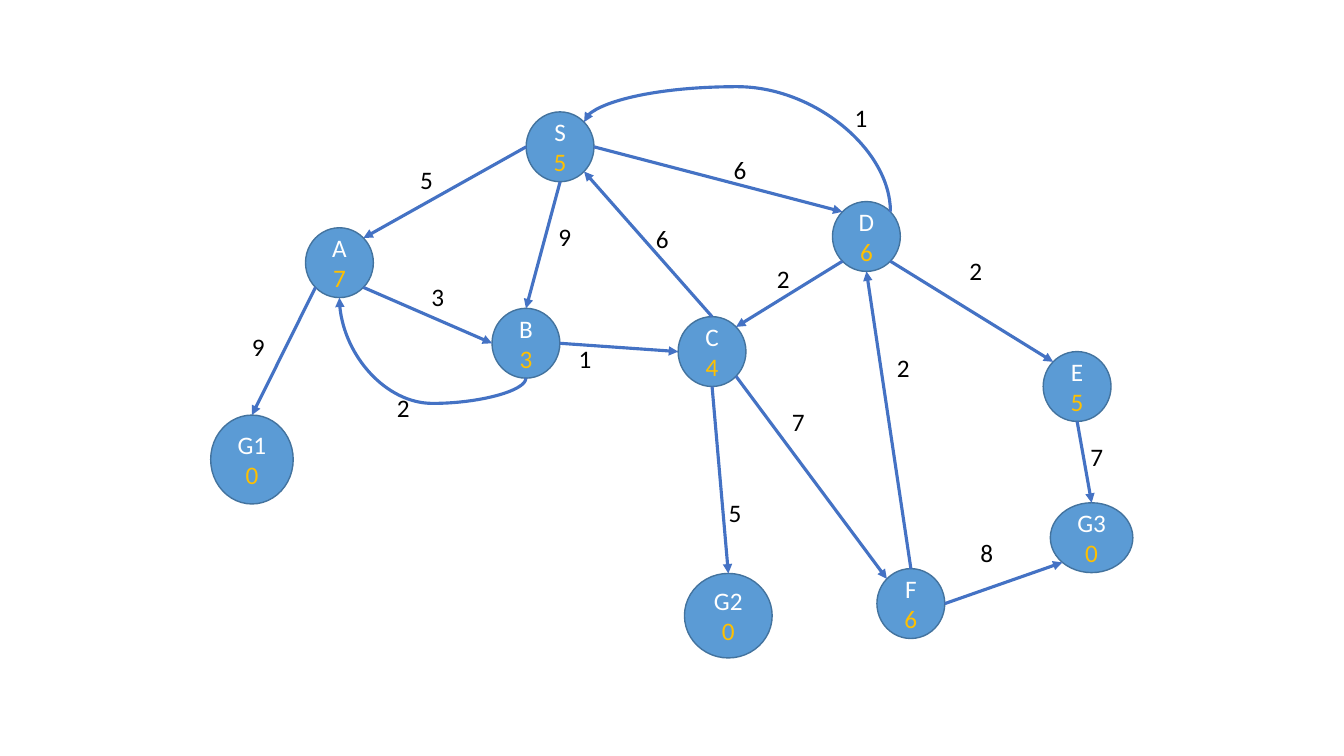
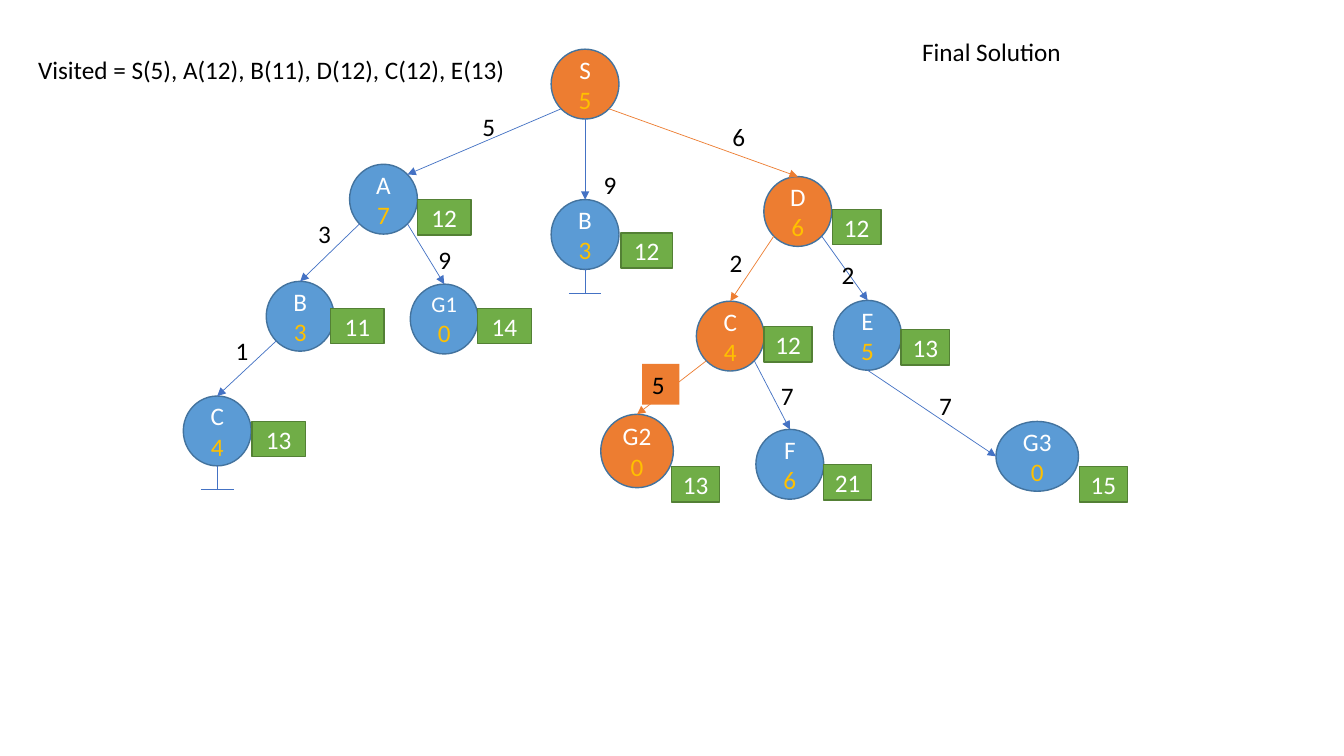
import math

import pptx
import pptx.util
import pptx.dml.color
import pptx.oxml
import pptx.oxml.ns
import pptx.enum.shapes
import pptx.enum.text
from pptx.util import Cm

BLUE, ORANGE, GREEN = "5B9BD5", "ED7D31", "70AD47"
NODE_LINE, BADGE_LINE, EDGE = "43739E", "538035", "4472C4"
WHITE, BLACK, GOLD = "FFFFFF", "000000", "FFC000"

# Connection sites of an ellipse, counter-clockwise from the top
TOP, TOP_LEFT, LEFT, LOW_LEFT, BOTTOM, LOW_RIGHT, RIGHT, TOP_RIGHT = range(8)


def rgb(value):
    return pptx.dml.color.RGBColor.from_string(value)


def sub(parent, tag, **attrs):
    """Append a drawing element with the given attributes."""
    child = pptx.oxml.parse_xml(f"<{tag} {pptx.oxml.ns.nsdecls('a')}/>")
    for name, value in attrs.items():
        child.set(name, str(value))
    parent.append(child)
    return child


class Graph:
    """Style of the graphs and the slide being drawn; lengths in cm."""

    FONT, SIZE = "Calibri", 18
    NODE_W, NODE_H = 1.71, 1.76
    BADGE_H, LABEL_H = 0.89, 1.03

    def __init__(self, prs):
        self.prs = prs

    def new_slide(self, edge_width):
        self.s = self.prs.slides.add_slide(self.prs.slide_layouts[6])
        self.edge_width = edge_width
        self.nodes = {}

    def style(self, r, color, size=SIZE):
        r.font.name = self.FONT
        r.font.size = pptx.util.Pt(size)
        r.font.color.rgb = rgb(color)

    def shape(self, kind, x, y, w, h, fill, line):
        sp = self.s.shapes.add_shape(kind, Cm(x), Cm(y), Cm(w), Cm(h))
        sp.shadow.inherit = False
        sp.fill.solid()
        sp.fill.fore_color.rgb = rgb(fill)
        sp.line.color.rgb = rgb(line)
        sp.line.width = pptx.util.Pt(1)
        tf = sp.text_frame
        tf.word_wrap = True
        tf.vertical_anchor = pptx.enum.text.MSO_ANCHOR.MIDDLE
        tf.paragraphs[0].alignment = pptx.enum.text.PP_ALIGN.CENTER
        return sp

    def node(self, key, name, cost, x, y, w=NODE_W, h=NODE_H, fill=BLUE, size=SIZE):
        sp = self.shape(pptx.enum.shapes.MSO_SHAPE.OVAL, x, y, w, h, fill, NODE_LINE)
        p = sp.text_frame.paragraphs[0]
        for text, color, pt in ((name + " ", WHITE, size), (cost, GOLD, self.SIZE)):
            r = p.add_run()
            r.text = text
            self.style(r, color, pt)
        self.nodes[key] = sp

    def badge(self, text, x, y, w):
        sp = self.shape(pptx.enum.shapes.MSO_SHAPE.RECTANGLE, x, y, w, self.BADGE_H,
                        GREEN, BADGE_LINE)
        p = sp.text_frame.paragraphs[0]
        p.text = text
        self.style(p.runs[0], WHITE)

    def label(self, text, x, y, w=1.12, wrap=True, fill=None):
        sp = self.s.shapes.add_textbox(Cm(x), Cm(y), Cm(w), Cm(self.LABEL_H))
        if fill:
            sp.fill.solid()
            sp.fill.fore_color.rgb = rgb(fill)
        tf = sp.text_frame
        tf.word_wrap = wrap
        tf.auto_size = pptx.enum.text.MSO_AUTO_SIZE.SHAPE_TO_FIT_TEXT
        tf.text = text
        self.style(tf.paragraphs[0].runs[0], BLACK)

    def site(self, key, idx):
        """Point of a node's outline at a connection site."""
        sp, angle = self.nodes[key], math.radians(45 * idx)
        return (round(sp.left + sp.width / 2 * (1 - math.sin(angle))),
                round(sp.top + sp.height / 2 * (1 - math.cos(angle))))

    def line(self, start, end, color=EDGE, arrow=True, curved=False):
        kinds = pptx.enum.shapes.MSO_CONNECTOR
        c = self.s.shapes.add_connector(kinds.CURVE if curved else kinds.STRAIGHT,
                                        *start, *end)
        c.line.color.rgb = rgb(color)
        c.line.width = pptx.util.Pt(self.edge_width)
        if arrow:
            sub(c.line._get_or_add_ln(), "a:tailEnd", type="triangle")
        sub(c._element.spPr, "a:effectLst")
        return c

    def glue(self, c, tag, key, idx):
        holder = c._element.nvCxnSpPr.cNvCxnSpPr
        sub(holder, tag, id=self.nodes[key].shape_id, idx=idx)

    def edge(self, a, a_site, b, b_site, color=EDGE):
        c = self.line(self.site(a, a_site), self.site(b, b_site), color)
        self.glue(c, "a:stCxn", a, a_site)
        self.glue(c, "a:endCxn", b, b_site)

    def curve(self, a, a_site, b, b_site, turn, flip, bend):
        """Curved edge that leaves vertically: its box is turned by a right angle."""
        (x1, y1), (x2, y2) = self.site(a, a_site), self.site(b, b_site)
        w, h = abs(y2 - y1), abs(x2 - x1)
        x, y = (x1 + x2 - w) // 2, (y1 + y2 - h) // 2
        c = self.line((x, y), (x + w, y + h), curved=True)
        xfrm = c._element.spPr.find(pptx.oxml.ns.qn("a:xfrm"))
        xfrm.set("rot", str(turn * 60000))
        xfrm.set(flip, "1")
        geom = c._element.spPr.find(pptx.oxml.ns.qn("a:prstGeom"))
        sub(geom.find(pptx.oxml.ns.qn("a:avLst")), "a:gd", name="adj1",
            fmla=f"val {round(bend * 100000)}")
        self.glue(c, "a:stCxn", a, a_site)
        self.glue(c, "a:endCxn", b, b_site)

    def dead_end(self, key):
        x, y = self.site(key, BOTTOM)
        stem, half = Cm(0.6), Cm(0.41)
        c = self.line((x, y), (x, y + stem), arrow=False)
        self.glue(c, "a:stCxn", key, BOTTOM)
        self.line((x - half, y + stem), (x + half, y + stem), arrow=False)


def state_graph(g):
    g.new_slide(edge_width=2.25)

    # Nodes: name, estimate, left, top and, where larger, width and height
    for name, *rest in (
        ("S", "5", 13.26, 2.82), ("A", "7", 7.7, 5.74), ("B", "3", 12.4, 7.77),
        ("C", "4", 17.09, 7.98), ("D", "6", 20.98, 5.08), ("E", "5", 26.29, 8.86),
        ("G3", "0", 26.47, 12.67, 2.08, 1.76), ("F", "6", 22.1, 14.33),
        ("G2", "0", 17.25, 14.45, 2.21, 2.13), ("G1", "0", 5.31, 10.46, 2.08, 2.24),
    ):
        g.node(name, name, *rest)

    # Straight edges with their costs
    for a, a_site, b, b_site, cost, x, y in (
        ("S", LEFT, "A", TOP_RIGHT, "5", 10.34, 4.01),
        ("S", BOTTOM, "B", TOP, "9", 13.82, 5.44),
        ("S", RIGHT, "D", TOP_LEFT, "6", 18.24, 3.76),
        ("C", TOP, "S", LOW_RIGHT, "6", 16.28, 5.51),
        ("A", LOW_LEFT, "G1", TOP, "9", 6.1, 8.23),
        ("A", LOW_RIGHT, "B", LEFT, "3", 10.62, 6.96),
        ("B", RIGHT, "C", LEFT, "1", 14.33, 8.53),
        ("D", LOW_RIGHT, "E", TOP_LEFT, "2", 24.18, 6.32),
        ("E", BOTTOM, "G3", TOP, "7", 27.23, 11),
        ("F", RIGHT, "G3", LOW_LEFT, "8", 24.46, 13.41),
        ("C", LOW_RIGHT, "F", TOP_LEFT, "7", 19.71, 10.11),
        ("C", BOTTOM, "G2", TOP, "5", 18.11, 12.4),
        ("F", TOP, "D", BOTTOM, "2", 22.35, 8.76),
        ("D", LOW_LEFT, "C", TOP_RIGHT, "2", 19.33, 6.5),
    ):
        g.edge(a, a_site, b, b_site)
        g.label(cost, x, y)

    # Curved edges back
    g.curve("D", TOP_RIGHT, "S", TOP_RIGHT, 270, "flipV", 1.395)
    g.label("1", 21.29, 2.46)
    g.curve("B", BOTTOM, "A", BOTTOM, 90, "flipH", -0.313)
    g.label("2", 9.75, 9.75)


def search_tree(g):
    g.new_slide(edge_width=0.5)
    solution = ("S", "D", "DC", "G2")

    # Headings
    g.label("Visited = S(5), A(12), B(11), D(12), C(12), E(13)", 0.71, 1.24, 12.42, False)
    g.label("Final Solution", 22.99, 0.79, 4.04, False)

    # Nodes; a key with two letters tells the parent as well
    for key, name, *rest in (
        ("S", "S", "5", 13.89, 1.24), ("A", "A", "7", 8.81, 4.14),
        ("SB", "B", "3", 13.89, 5.03), ("D", "D", "6", 19.41 - 0.16, 4.45),
        ("AB", "B", "3", 6.71, 7.09), ("BC", "C", "4", 4.62, 9.98),
        ("DC", "C", "4", 17.55, 7.59), ("E", "E", "5", 21.01, 7.57),
        ("G2", "G2", "0", 15.14, 10.44, 1.83, 1.85), ("F", "F", "6", 19.05, 10.82),
        ("G3", "G3", "0", 25.1, 10.62, 2.08, 1.76),
    ):
        g.node(key, name, *rest, fill=ORANGE if key in solution else BLUE)
    g.node("G1", "G1", "0", 10.34, 7.16, size=16)

    # Total costs
    for total, x, y, w in (
        ("12", 10.52, 5.03, 1.35), ("12", 15.65, 5.87, 1.3), ("12", 20.98, 5.28, 1.22),
        ("11", 8.33, 7.77, 1.35), ("14", 12.04, 7.77, 1.35), ("13", 6.35, 10.62, 1.35),
        ("12", 19.25, 8.23, 1.22), ("13", 22.71, 8.31, 1.22), ("13", 16.92, 11.76, 1.22),
        ("21", 20.75, 11.71, 1.22), ("15", 27.2, 11.76, 1.22),
    ):
        g.badge(total, x, y, w)

    # Edges with their costs
    narrow, wide = 0.84, 0.94
    for a, a_site, b, b_site, cost, x, y, w in (
        ("S", LOW_LEFT, "A", TOP_RIGHT, "5", 11.91, 2.69, narrow),
        ("S", BOTTOM, "SB", TOP, "9", 14.96, 4.14, narrow),
        ("S", LOW_RIGHT, "D", TOP, "6", 18.21, 2.92, narrow),
        ("A", LOW_LEFT, "AB", TOP, "3", 7.77, 5.38, narrow),
        ("A", LOW_RIGHT, "G1", TOP, "9", 10.8, 6.02, narrow),
        ("AB", LOW_LEFT, "BC", TOP, "1", 5.69, 8.33, narrow),
        ("D", LOW_LEFT, "DC", TOP, "2", 18.14, 6.1, narrow),
        ("D", LOW_RIGHT, "E", TOP, "2", 20.96, 6.4, narrow),
        ("DC", LOW_LEFT, "G2", TOP, "5", 16.18, 9.17, wide),
        ("DC", LOW_RIGHT, "F", TOP, "7", 19.43, 9.45, wide),
        ("E", BOTTOM, "G3", LEFT, "7", 23.42, 9.7, wide),
    ):
        g.edge(a, a_site, b, b_site, ORANGE if b in solution else EDGE)
        g.label(cost, x, y, w, w == wide, ORANGE if b == "G2" else None)

    # Branches that are not expanded
    for key in ("SB", "BC"):
        g.dead_end(key)


def main():
    prs = pptx.Presentation()
    prs.slide_width, prs.slide_height = Cm(33.87), Cm(19.05)
    g = Graph(prs)
    state_graph(g)
    search_tree(g)
    prs.save("out.pptx")


if __name__ == "__main__":
    main()
